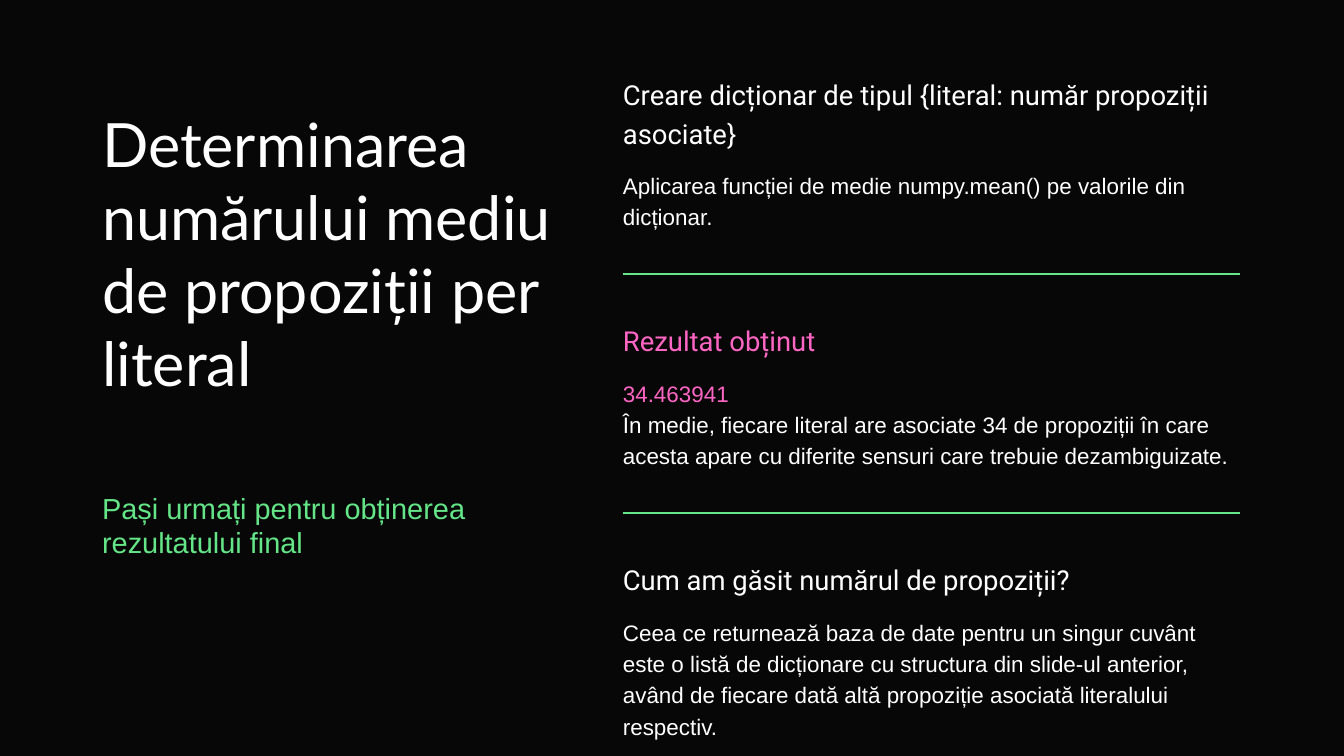
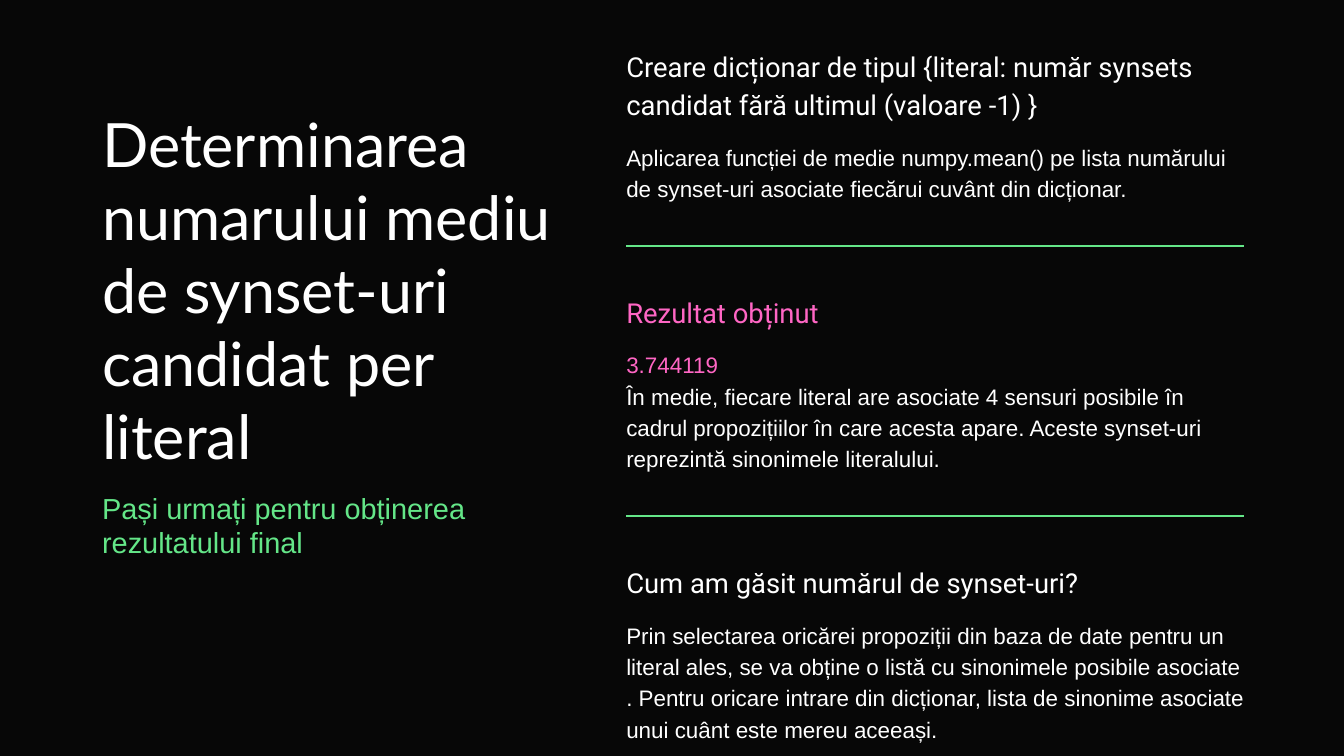
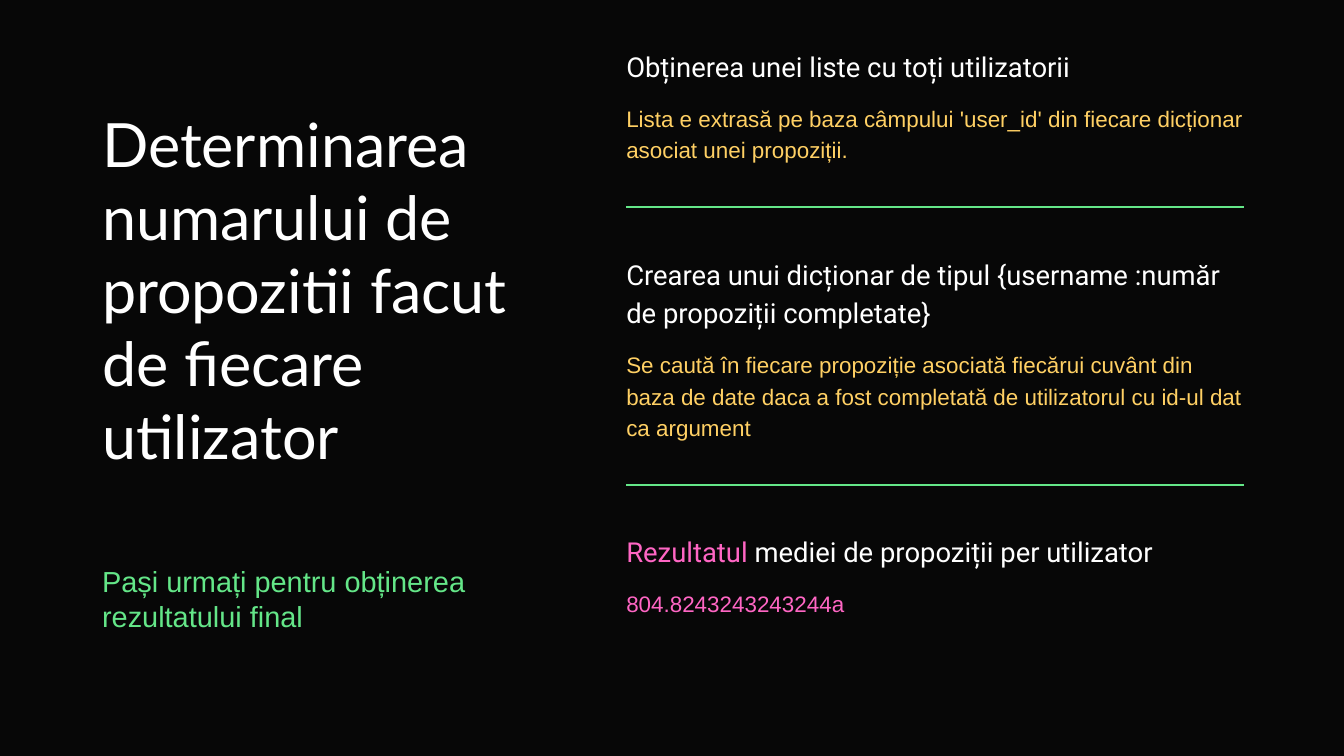
from collections import namedtuple

from lxml import etree
from pptx import Presentation
from pptx.dml.color import RGBColor
from pptx.enum.shapes import MSO_CONNECTOR
from pptx.oxml.ns import qn
from pptx.util import Pt

STRAIGHT = MSO_CONNECTOR.STRAIGHT

BLACK, WHITE, GREEN, PINK, YELLOW = "070707", "FFFFFF", "64E688", "FF66C4", "FFD064"

Style = namedtuple("Style", "font size spacing")
TITLE = Style("Lato", 65.4, 78.4)
SUBTITLE = Style("Arial", 31, 37.2)
HEADING = Style("Roboto", 29.4, 41.2)
BODY = Style("Arial", 24, 33.5)

SLIDE_WIDTH, SLIDE_HEIGHT = 1440, 810
TITLE_LEFT, TITLE_TOP, TITLE_WIDTH = 109.4, 113.8, 499.7
STEPS_WIDTH = 661.7
TRIM = 3
SUBTITLE_GAP = 22.5
BODY_GAP = 19.4
RULE_GAP = 46.8
HEADING_GAP = 48.2

Step = namedtuple("Step", "heading heading_lines body body_lines")
Topic = namedtuple("Topic", "title title_lines left top steps")

SUBTITLE_TEXT = "Pași urmați pentru obținerea rezultatului final"


def plain(text, color=WHITE):
    return [(text, color)]


TOPICS = [
    Topic("Determinarea numărului mediu de propoziții per literal", 5, 667.4, 77.8, [
        Step(plain("Creare dicționar de tipul {literal: număr propoziții asociate}"), 2,
             [plain("Aplicarea funcției de medie numpy.mean() pe valorile din dicționar.")], 2),
        Step(plain("Rezultat obținut", PINK), 1,
             [plain("34.463941", PINK),
              plain("În medie, fiecare literal are asociate 34 de propoziții în care acesta "
                    "apare cu diferite sensuri care trebuie dezambiguizate.")], 3),
        Step(plain("Cum am găsit numărul de propoziții?"), 1,
             [plain("Ceea ce returnează baza de date pentru un singur cuvânt este o listă de "
                    "dicționare cu structura din slide-ul anterior, având de fiecare dată altă "
                    "propoziție asociată literalului respectiv.")], 4),
    ]),
    Topic("Determinarea numarului mediu de synset-uri candidat per literal", 5, 671, 47.5, [
        Step(plain("Creare dicționar de tipul {literal: număr synsets candidat fără ultimul "
                   "(valoare -1) }"), 2,
             [plain("Aplicarea funcției de medie numpy.mean() pe lista numărului de synset-uri "
                    "asociate fiecărui cuvânt din dicționar.")], 2),
        Step(plain("Rezultat obținut", PINK), 1,
             [plain("3.744119", PINK),
              plain("În medie, fiecare literal are asociate 4 sensuri posibile în cadrul "
                    "propozițiilor în care acesta apare. Aceste synset-uri reprezintă "
                    "sinonimele literalului.")], 4),
        Step(plain("Cum am găsit numărul de synset-uri?"), 1,
             [plain("Prin selectarea oricărei propoziții din baza de date pentru un literal "
                    "ales, se va obține o listă cu sinonimele posibile asociate . Pentru "
                    "oricare intrare din dicționar, lista de sinonime asociate unui cuânt "
                    "este mereu aceeași.")], 4),
    ]),
    Topic("Determinarea numarului de propozitii facut de fiecare utilizator", 6, 671, 47.5, [
        Step(plain("Obținerea unei liste cu toți utilizatorii"), 1,
             [plain("Lista e extrasă pe baza câmpului 'user_id' din fiecare dicționar asociat "
                    "unei propoziții.", YELLOW)], 2),
        Step(plain("Crearea unui dicționar de tipul {username :număr de propoziții "
                   "completate}"), 2,
             [plain("Se caută în fiecare propoziție asociată fiecărui cuvânt din baza de date "
                    "daca a fost completată de utilizatorul cu id-ul dat ca argument",
                    YELLOW)], 3),
        Step([("Rezultatul", PINK), (" mediei de propoziții per utilizator", WHITE)], 1,
             [plain("804.8243243243244a", PINK)], 3),
    ]),
]


def rgb(color):
    return RGBColor.from_string(color)


def add_text(page, left, top, width, lines, style, paragraphs):
    height = lines * style.spacing - TRIM
    box = page.shapes.add_textbox(Pt(left), Pt(top), Pt(width), Pt(height))
    frame = box.text_frame
    frame.word_wrap = True
    frame.margin_left = frame.margin_right = frame.margin_top = frame.margin_bottom = 0
    for index, spans in enumerate(paragraphs):
        para = frame.add_paragraph() if index else frame.paragraphs[0]
        para.line_spacing = Pt(style.spacing)
        para.font.name = style.font
        para.font.size = Pt(style.size)
        for text, color in spans:
            span = para.add_run()
            span.text = text
            span.font.color.rgb = rgb(color)
    return top + height


def add_rule(page, left, top, width):
    rule = page.shapes.add_connector(STRAIGHT, Pt(left), Pt(top), Pt(left + width), Pt(top))
    rule.line.color.rgb = rgb(GREEN)
    rule.line.width = Pt(2.18)
    etree.SubElement(rule._element.spPr, qn("a:effectLst"))


def add_title_block(page, left, top, width, title, lines):
    bottom = add_text(page, left, top, width, lines, TITLE, [plain(title)])
    add_text(page, left, bottom + SUBTITLE_GAP, width, 2, SUBTITLE,
             [plain(SUBTITLE_TEXT, GREEN)])


def add_steps(page, left, top, width, steps):
    for index, step in enumerate(steps):
        if index:
            top += RULE_GAP
            add_rule(page, left, top, width)
            top += HEADING_GAP
        add_text(page, left, top, width, step.heading_lines, HEADING, [step.heading])
        top += step.heading_lines * HEADING.spacing + BODY_GAP
        add_text(page, left, top, width, step.body_lines, BODY, step.body)
        top += step.body_lines * BODY.spacing


def add_topic_page(deck, topic):
    page = deck.slides.add_slide(deck.slide_layouts[6])
    page.background.fill.solid()
    page.background.fill.fore_color.rgb = rgb(BLACK)
    add_steps(page, topic.left, topic.top, STEPS_WIDTH, topic.steps)
    add_title_block(page, TITLE_LEFT, TITLE_TOP, TITLE_WIDTH, topic.title, topic.title_lines)


def main():
    deck = Presentation()
    deck.slide_width, deck.slide_height = Pt(SLIDE_WIDTH), Pt(SLIDE_HEIGHT)
    for topic in TOPICS:
        add_topic_page(deck, topic)
    deck.save("out.pptx")


if __name__ == "__main__":
    main()
